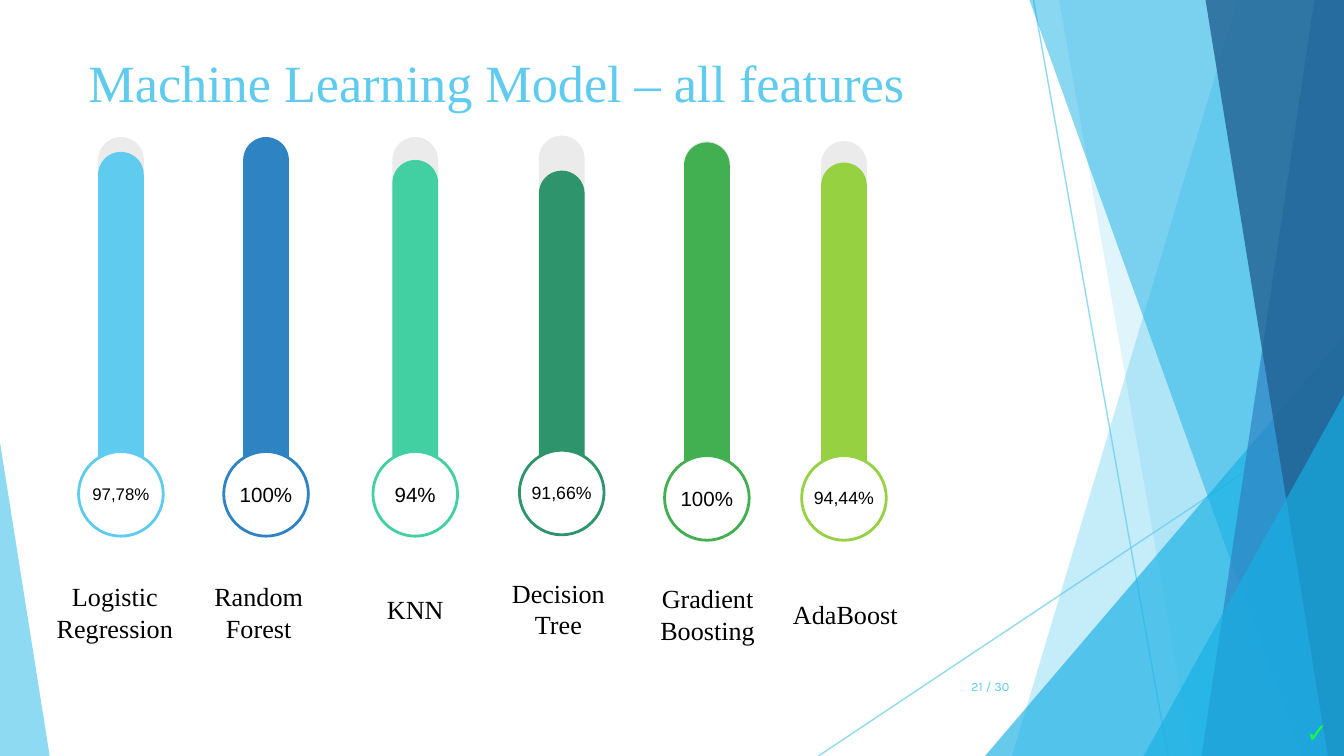
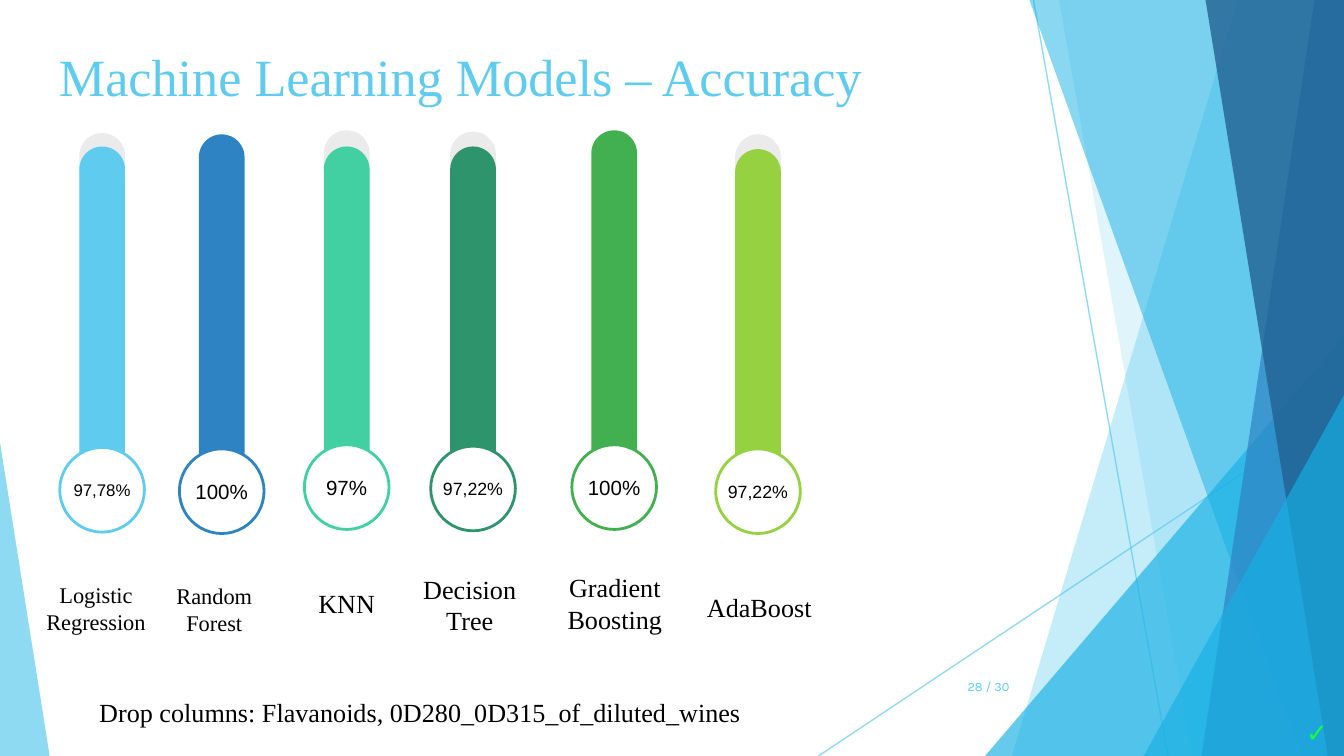
from collections import namedtuple

from lxml.etree import SubElement
from pptx import Presentation
from pptx.dml.color import RGBColor
from pptx.enum.shapes import MSO_CONNECTOR, MSO_SHAPE
from pptx.enum.text import MSO_ANCHOR, PP_ALIGN
from pptx.oxml.ns import qn
from pptx.util import Inches, Pt

# Lengths are cells of a square grid, 100 columns across the slide.
COLUMNS, ROWS, CELL = 100, 56.25, 0.1

SKY, CYAN, BLUE, NAVY = "5FCBEF", "17B0E4", "2E83C3", "226292"
MINT, PINE, GREEN, LIME = "42D0A2", "2E946B", "42B051", "96D141"
GREY, WHITE, BLACK, TICK = "EBEBEB", "FFFFFF", "000000", "13FF3A"
SERIF, SANS, SMALL = "Times New Roman", "Arial", "Karla"

Box = namedtuple("Box", "left top width height")
# The label is shifted from the gauge's axis; spare is the point size of the
# line of room kept free below it.
Model = namedtuple("Model", "name color shift label_width spare")
# A gauge without a drop has its whole track in the model's colour.
Gauge = namedtuple("Gauge", "left top drop level value value_size label_size")

SLIDE = Box(0, 0, COLUMNS, ROWS)
TRACK_WIDTH, TRACK_HEIGHT = 3.4, 27.6
BULB_SIZE, BULB_ROW, LABEL_ROW = 6.3, 23.4, 31.65

MODELS = [
    Model("Logistic Regression", SKY, -0.45, 10.7, 12),
    Model("Random Forest", BLUE, -0.55, 10.7, 12),
    Model("KNN", MINT, 0, 10.7, 0),
    Model("Decision Tree", PINE, -0.25, 10.5, 14),
    Model("Gradient Boosting", GREEN, 0.05, 10.1, 14),
    Model("AdaBoost", LIME, 0.1, 10.1, 14),
]
ALL_FEATURES = [
    Gauge(7.3, 10.2, 1.1, 25.5, "97,78%", 9, 14),
    Gauge(18.1, 10.2, None, None, "100%", 11, 14),
    Gauge(29.2, 10.2, 1.7, 25.9, "94%", 11, 14),
    Gauge(40.1, 10.1, 2.6, 25, "91,66%", 9.5, 14),
    Gauge(50.9, 10.5, 0.1, 27.6, "100%", 11, 14),
    Gauge(61.1, 10.5, 1.6, 24.9, "94,44%", 9.5, 14),
]
DROPPED_COLUMNS = [
    Gauge(5.9, 9.9, 1, 25.5, "97,78%", 9, 12),
    Gauge(14.8, 10, None, None, "100%", 11, 12),
    Gauge(24.1, 9.7, 1.2, 26.4, "97%", 11, 14),
    Gauge(33.5, 9.8, 1.1, 25.4, "97,22%", 9.5, 14),
    Gauge(44, 9.7, None, None, "100%", 11, 14),
    Gauge(54.7, 10, 1.1, 26.6, "97,22%", 9.5, 14),
]

# Backdrop, back to front: panels run from a slanted left edge (top column,
# bottom column) to the right side; wedges are triangles with an apex share.
BACKDROP = [
    ("panel", (92.1, 75.3), SKY, 36),
    ("panel", (78.8, 88.7), SKY, 20),
    ("wedge", (73.3, 25, 26.7, 1), CYAN, 66),
    ("panel", (76.6, 96.8), CYAN, 50),
    ("panel", (97.8, 89.4), BLUE, 70),
    ("panel", (89.7, 98.8), NAVY, 80),
    ("wedge", (85.1, 29.4, 14.9, 1), CYAN, 66),
    ("wedge", (0, 32.9, 3.7, 0), SKY, 70),
]
RAYS = [(76.9, 0, 86.9, ROWS), (100, 30.2, 60.9, ROWS)]


def cells(*counts):
    return [Inches(count * CELL) for count in counts]


def color(code):
    return RGBColor.from_string(code)


def within(box, left, top, width, height):
    return Box(box.left + left, box.top + top, width, height)


def set_opacity(shape, percent):
    for node in shape.element.spPr.iter(qn("a:srgbClr")):
        SubElement(node, qn("a:alpha"), val=str(percent * 1000))


def paint(shape, fill, line=None):
    shape.shadow.inherit = False
    shape.fill.solid()
    shape.fill.fore_color.rgb = color(fill)
    if line:
        shape.line.color.rgb = color(line)
        shape.line.width = Pt(1.5)
    else:
        shape.line.fill.background()


def add_figure(shapes, kind, box, fill, line=None, adjustment=None):
    shape = shapes.add_shape(kind, *cells(*box))
    paint(shape, fill, line)
    if adjustment is not None:
        shape.adjustments[0] = adjustment
    return shape


def write(shape, text, font, size, ink=BLACK, align=PP_ALIGN.LEFT,
          anchor=MSO_ANCHOR.MIDDLE, side=1, top=1, bottom=1, bold=None, wrap=True):
    frame = shape.text_frame
    frame.word_wrap = wrap
    frame.vertical_anchor = anchor
    frame.margin_left, frame.margin_right = cells(side, side)
    frame.margin_top, frame.margin_bottom = cells(top, bottom)
    paragraph = frame.paragraphs[0]
    paragraph.text = text
    paragraph.alignment = align
    paragraph.font.name = font
    paragraph.font.size = Pt(size)
    paragraph.font.bold = bold
    paragraph.font.color.rgb = color(ink)


def add_text(shapes, box, *arguments, **options):
    write(shapes.add_textbox(*cells(*box)), *arguments, **options)


def draw_panel(shapes, box, top_column, bottom_column):
    right, bottom = box.left + box.width, box.top + box.height
    builder = shapes.build_freeform(*cells(box.left + top_column, box.top), scale=1.0)
    corners = [(right, box.top), (right, bottom), (box.left + bottom_column, bottom)]
    builder.add_line_segments([cells(*corner) for corner in corners], close=True)
    return builder.convert_to_shape()


def draw_backdrop(slide, box):
    shapes = slide.shapes.add_group_shape().shapes
    for x1, y1, x2, y2 in RAYS:
        ray = shapes.add_connector(MSO_CONNECTOR.STRAIGHT, *cells(
            box.left + x1, box.top + y1, box.left + x2, box.top + y2))
        ray.line.color.rgb = color(SKY)
        ray.line.width = Pt(0.75)
        set_opacity(ray, 70)
        SubElement(ray.element.spPr, qn("a:effectLst"))
    for kind, geometry, fill, opacity in BACKDROP:
        if kind == "panel":
            shape = draw_panel(shapes, box, *geometry)
            paint(shape, fill)
        else:
            left, top, width, apex = geometry
            wedge = within(box, left, top, width, box.height - top)
            shape = add_figure(shapes, MSO_SHAPE.ISOSCELES_TRIANGLE, wedge, fill,
                               adjustment=apex)
        set_opacity(shape, opacity)


def draw_gauge(slide, box, model, gauge):
    """Draw track, level, value bulb and label around the track's box."""
    shapes = slide.shapes.add_group_shape().shapes
    full = gauge.drop is None
    add_figure(shapes, MSO_SHAPE.ROUNDED_RECTANGLE, box,
               model.color if full else GREY, adjustment=0.5)
    if not full:
        level = within(box, 0, gauge.drop, box.width, gauge.level)
        add_figure(shapes, MSO_SHAPE.ROUNDED_RECTANGLE, level, model.color,
                   adjustment=0.5)
    bulb_box = within(box, (box.width - BULB_SIZE) / 2, BULB_ROW, BULB_SIZE, BULB_SIZE)
    bulb = add_figure(shapes, MSO_SHAPE.OVAL, bulb_box, WHITE, model.color)
    write(bulb, gauge.value, SANS, gauge.value_size, align=PP_ALIGN.CENTER, side=0,
          wrap=False)
    label = within(box, (box.width - model.label_width) / 2 + model.shift, LABEL_ROW,
                   model.label_width, 9.3 if model.spare else 7)
    add_text(shapes, label, model.name, SERIF, gauge.label_size,
             align=PP_ALIGN.CENTER, bottom=1 + model.spare * 0.16)


def draw_footer(slide, box, page):
    add_text(slide.shapes, within(box, 70.5, 49.6, 5.6, 3), page, SMALL, 6.8, SKY,
             PP_ALIGN.RIGHT)
    add_text(slide.shapes, within(box, 96.2, 52.8, 3.8, 3.4), "✓", SMALL, 14, TICK,
             anchor=MSO_ANCHOR.TOP, top=0.5, bottom=0.5, bold=True)


def build_gauge_slide(presentation, title, title_box, gauges, page, note=None):
    slide = presentation.slides.add_slide(presentation.slide_layouts[6])
    draw_backdrop(slide, SLIDE)
    add_text(slide.shapes, title_box, title, SERIF, 28, SKY, top=0.5, bottom=0.8)
    for model, gauge in zip(MODELS, gauges):
        track = within(SLIDE, gauge.left, gauge.top, TRACK_WIDTH, TRACK_HEIGHT)
        draw_gauge(slide, track, model, gauge)
    draw_footer(slide, SLIDE, page)
    if note:
        add_text(slide.shapes, within(SLIDE, 6.4, 51.3, 54.3, 3.4), note, SERIF, 14,
                 anchor=MSO_ANCHOR.TOP, top=0.5, bottom=0.5)


def main():
    presentation = Presentation()
    presentation.slide_width, presentation.slide_height = cells(COLUMNS, ROWS)
    build_gauge_slide(presentation, "Machine Learning Model – all features",
                      Box(5.6, 3.1, 65.2, 6.3), ALL_FEATURES, "21 / 30")
    build_gauge_slide(presentation, "Machine Learning Models – Accuracy",
                      Box(3.4, 3.3, 67.1, 4.9), DROPPED_COLUMNS, "28 / 30",
                      "Drop columns: Flavanoids, 0D280_0D315_of_diluted_wines")
    presentation.save("out.pptx")


if __name__ == "__main__":
    main()
